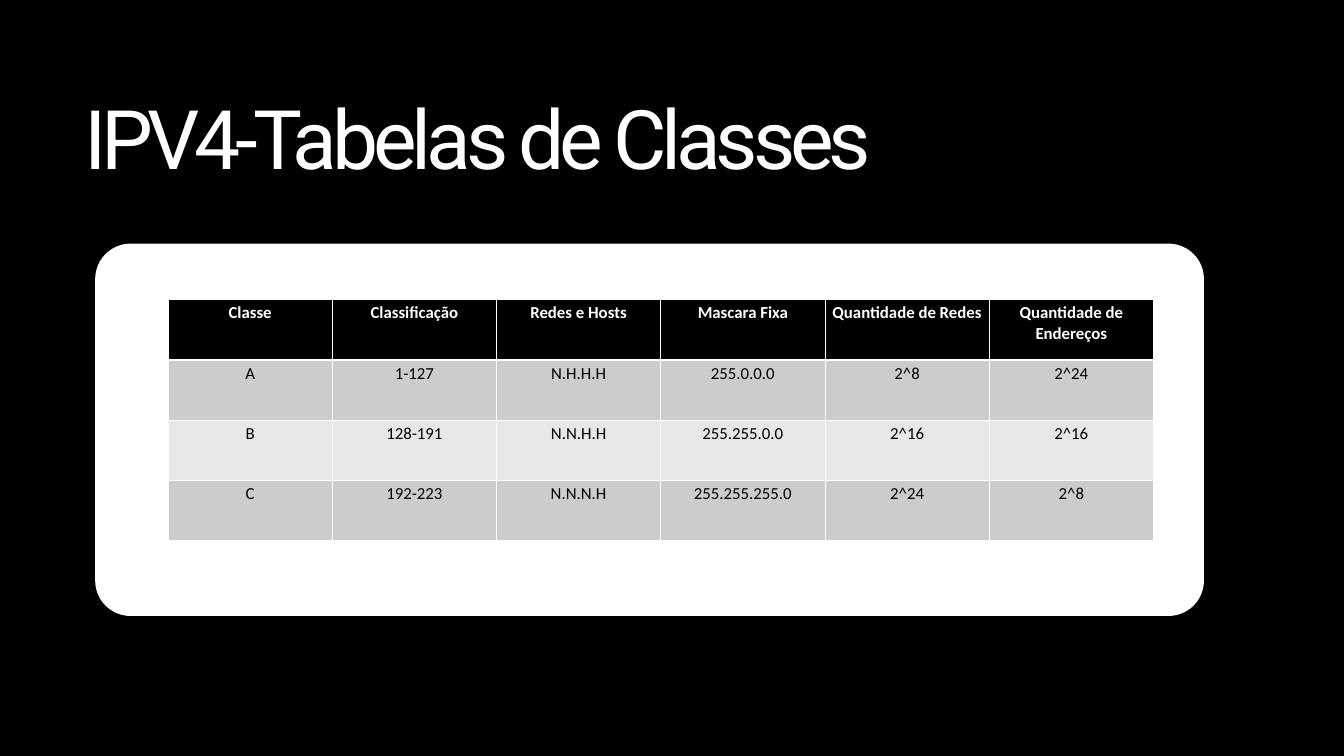
from lxml import etree
from pptx import Presentation
from pptx.dml.color import RGBColor
from pptx.enum.shapes import MSO_SHAPE
from pptx.enum.text import MSO_ANCHOR, MSO_AUTO_SIZE, PP_ALIGN
from pptx.oxml.ns import qn
from pptx.util import Pt

ROUNDED = MSO_SHAPE.ROUNDED_RECTANGLE
TOP = MSO_ANCHOR.TOP
GROW = MSO_AUTO_SIZE.SHAPE_TO_FIT_TEXT
LEFT = PP_ALIGN.LEFT
CENTER = PP_ALIGN.CENTER
TITLE_ONLY = 5

CLASSES = [
    ["Classe", "Classificação", "Redes e Hosts", "Mascara Fixa",
     "Quantidade de Redes", "Quantidade de Endereços"],
    ["A", "1-127", "N.H.H.H", "255.0.0.0", "2^8", "2^24"],
    ["B", "128-191", "N.N.H.H", "255.255.0.0", "2^16", "2^16"],
    ["C", "192-223", "N.N.N.H", "255.255.255.0", "2^24", "2^8"],
]


def color(value):
    return RGBColor.from_string(value)


class ClassSlide:
    heading_font = "Roboto"
    body_font = "Calibri"
    dark = "000000"
    light = "FFFFFF"
    bands = ("E7E7E7", "CCCCCC")

    def __init__(self, slide):
        self.slide = slide

    def background(self):
        fill = self.slide.background.fill
        fill.solid()
        fill.fore_color.rgb = color(self.dark)

    def add_run(self, paragraph, text, font, size, ink, bold=False):
        run = paragraph.add_run()
        run.text = text
        run.font.name = font
        run.font.size = Pt(size)
        run.font.bold = bold
        run.font.color.rgb = color(ink)
        return run

    def title(self, text, left, top, width, height):
        heading = self.slide.shapes.title
        heading.left, heading.top = Pt(left), Pt(top)
        heading.width, heading.height = Pt(width), Pt(height)
        frame = heading.text_frame
        frame.word_wrap = True
        frame.auto_size = GROW
        frame.vertical_anchor = TOP
        frame.margin_left = frame.margin_right = frame.margin_bottom = 0
        frame.margin_top = Pt(2.6)
        paragraph = frame.paragraphs[0]
        paragraph.alignment = LEFT
        run = self.add_run(paragraph, text, self.heading_font, 88, self.light)
        run.font._element.set("spc", "-550")

    def panel(self, left, top, width, height, radius):
        panel = self.slide.shapes.add_shape(
            ROUNDED, Pt(left), Pt(top), Pt(width), Pt(height))
        panel.adjustments[0] = radius / height
        panel.shadow.inherit = False
        panel.fill.solid()
        panel.fill.fore_color.rgb = color(self.light)
        panel.line.fill.background()

    def borders(self, cell, top, bottom):
        properties = cell._tc.get_or_add_tcPr()
        widths = {"a:lnL": 1, "a:lnR": 1, "a:lnT": top, "a:lnB": bottom}
        for position, (side, width) in enumerate(widths.items()):
            line = etree.Element(qn(side), w=str(Pt(width)))
            fill = etree.SubElement(line, qn("a:solidFill"))
            etree.SubElement(fill, qn("a:srgbClr"), val=self.light)
            properties.insert(position, line)

    def table(self, rows, left, top, column_width, row_height):
        columns = len(rows[0])
        table = self.slide.shapes.add_table(
            len(rows), columns, Pt(left), Pt(top),
            Pt(column_width * columns), Pt(row_height * len(rows))).table
        table.horz_banding = False
        for column in table.columns:
            column.width = Pt(column_width)
        for r, values in enumerate(rows):
            table.rows[r].height = Pt(row_height)
            header = r == 0
            for c, value in enumerate(values):
                cell = table.cell(r, c)
                cell.fill.solid()
                cell.fill.fore_color.rgb = color(
                    self.dark if header else self.bands[r % 2])
                self.borders(cell, 3 if r == 1 else 1, 3 if header else 1)
                paragraph = cell.text_frame.paragraphs[0]
                paragraph.alignment = CENTER
                self.add_run(paragraph, value, self.body_font, 18,
                             self.light if header else self.dark, header)


def main():
    deck = Presentation()
    deck.slide_width, deck.slide_height = Pt(1440), Pt(810)
    page = ClassSlide(deck.slides.add_slide(deck.slide_layouts[TITLE_ONLY]))
    page.background()
    page.panel(102, 261, 1188, 399, 38)
    page.title("IPV4-Tabelas de Classes", 90, 91.5, 1350, 108)
    page.table(CLASSES, 180, 321, 176, 64.5)
    deck.save("out.pptx")


if __name__ == "__main__":
    main()
